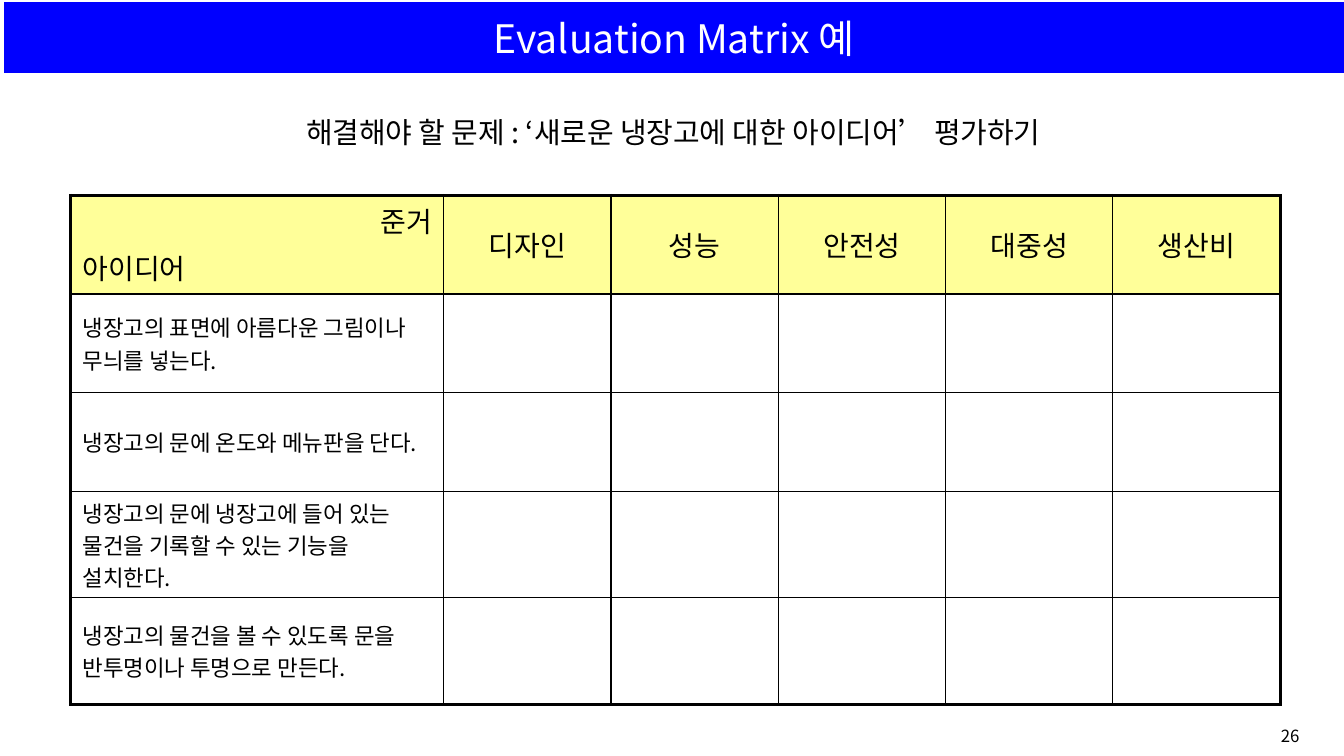
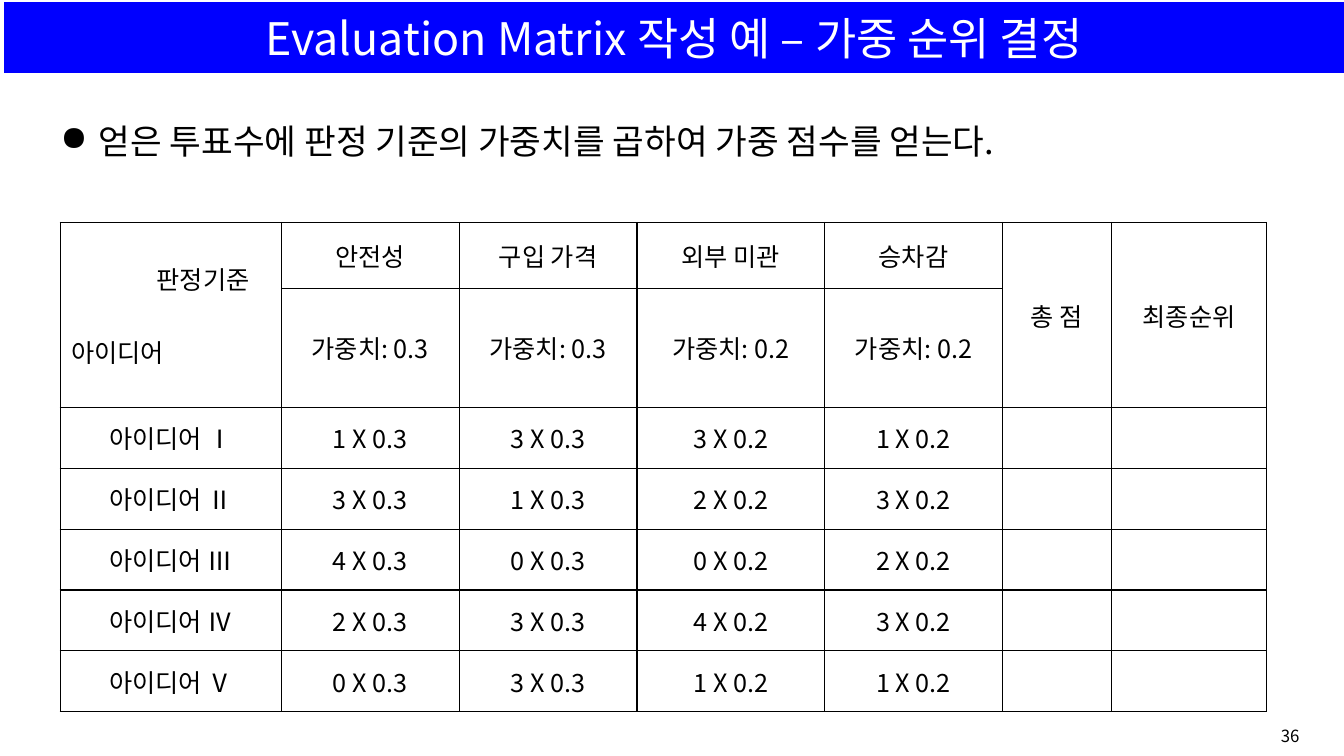
from lxml.etree import SubElement
from pptx import Presentation
from pptx.dml.color import RGBColor
from pptx.enum.text import MSO_ANCHOR as Anchor, MSO_AUTO_SIZE as AutoSize, PP_ALIGN as Align
from pptx.oxml.ns import qn
from pptx.util import Pt

FONT = "Noto Sans CJK KR"
BLACK, WHITE, BLUE, YELLOW = (RGBColor.from_string(c) for c in ("000000", "FFFFFF", "0000FF", "FFFF99"))


def write(paragraph, text, size, align=Align.CENTER, color=BLACK):
    paragraph.alignment = align
    run = paragraph.add_run()
    run.text = text
    for name, value in {"name": FONT, "size": Pt(size), "bold": False}.items():
        setattr(run.font, name, value)
    run.font.color.rgb = color
    SubElement(run.font._element, qn("a:ea"), typeface=FONT)


def add_grid(slide, left, top, widths, heights, inset, outer):
    """Add a plain table with black 1 pt rules and an outer frame of the given width."""
    table = slide.shapes.add_table(len(heights), len(widths), Pt(left), Pt(top),
                                   Pt(sum(widths)), Pt(sum(heights))).table
    table.first_row = table.horz_banding = False
    for column, width in zip(table.columns, widths):
        column.width = Pt(width)
    for row, height in zip(table.rows, heights):
        row.height = Pt(height)
    last_row, last_col = len(heights) - 1, len(widths) - 1
    for r in range(len(heights)):
        for c in range(len(widths)):
            cell = table.cell(r, c)
            cell.margin_left = cell.margin_right = Pt(inset)
            cell.vertical_anchor = Anchor.MIDDLE
            on_frame = {"lnL": c == 0, "lnR": c == last_col, "lnT": r == 0, "lnB": r == last_row}
            for side, framed in on_frame.items():
                rule = SubElement(cell._tc.get_or_add_tcPr(), qn(f"a:{side}"),
                                  w=str(Pt(outer if framed else 1)))
                SubElement(SubElement(rule, qn("a:solidFill")), qn("a:srgbClr"), val=str(BLACK))
            cell.fill.background()
    return table


prs = Presentation()
prs.slide_width, prs.slide_height = Pt(960), Pt(540)
title_only = prs.slide_layouts[5]

# Shared parts: title band, lead line and page number
headings = [
    ("Evaluation Matrix 예", 28, 26),
    ("Evaluation Matrix 작성 예 – 가중 순위 결정", 32, 36),
]
leads = [
    ("해결해야 할 문제 : ‘새로운 냉장고에 대한 아이디어’ 평가하기", 20.7, 49, 78, 864),
    ("얻은 투표수에 판정 기준의 가중치를 곱하여 가중 점수를 얻는다.", 24.6, 0, 82, 876),
]
lead_paragraphs = []
for (heading, heading_size, number), (lead, lead_size, left, top, width) in zip(headings, leads):
    slide = prs.slides.add_slide(title_only)
    band = slide.shapes.title
    band.left, band.top, band.width, band.height = Pt(1.5), Pt(0), Pt(960), Pt(54)
    band.fill.solid()
    band.fill.fore_color.rgb = BLUE
    band.line.color.rgb = WHITE
    band.line.width = Pt(3)
    band.text_frame.auto_size = AutoSize.NONE
    band.text_frame.vertical_anchor = Anchor.MIDDLE
    write(band.text_frame.paragraphs[0], heading, heading_size, color=WHITE)

    lead_frame = slide.shapes.add_textbox(Pt(left), Pt(top), Pt(width), Pt(42)).text_frame
    lead_frame.word_wrap = True
    write(lead_frame.paragraphs[0], lead, lead_size)
    lead_paragraphs.append(lead_frame.paragraphs[0])

    page = slide.shapes.add_textbox(Pt(905.5), Pt(515), Pt(32), Pt(22)).text_frame
    write(page.paragraphs[0], str(number), 12)

criteria_slide, weight_slide = prs.slides

# Slide 1: empty matrix of ideas against criteria
criteria = ["디자인", "성능", "안전성", "대중성", "생산비"]
ideas = [
    "냉장고의 표면에 아름다운 그림이나 무늬를 넣는다.",
    "냉장고의 문에 온도와 메뉴판을 단다.",
    "냉장고의 문에 냉장고에 들어 있는 물건을 기록할 수 있는 기능을 설치한다.",
    "냉장고의 물건을 볼 수 있도록 문을 반투명이나 투명으로 만든다.",
]
matrix = add_grid(criteria_slide, 50.5, 139.5, [266.5] + [119.5] * 5,
                  [70.5] * 3 + [76] * 2, inset=8.5, outer=2.25)
for cell in matrix.rows[0].cells:
    cell.fill.solid()
    cell.fill.fore_color.rgb = YELLOW
corner = matrix.cell(0, 0)
corner.vertical_anchor = Anchor.TOP
write(corner.text_frame.paragraphs[0], "준거", 20, Align.RIGHT)
idea_label = corner.text_frame.add_paragraph()
idea_label.space_before = Pt(4)
write(idea_label, "아이디어", 20, Align.LEFT)
for c, criterion in enumerate(criteria, 1):
    write(matrix.cell(0, c).text_frame.paragraphs[0], criterion, 20)
for r, idea in enumerate(ideas, 1):
    write(matrix.cell(r, 0).text_frame.paragraphs[0], idea, 16, Align.LEFT)

# Slide 2: votes multiplied by the weight of each criterion
bullet_lead = lead_paragraphs[1]
bullet_lead.alignment = Align.LEFT
lead_props = bullet_lead._p.get_or_add_pPr()
lead_props.set("marL", str(Pt(63.5)))
lead_props.set("indent", str(Pt(-27.5)))
SubElement(lead_props, qn("a:buChar"), char="●")

weights = {"안전성": "0.3", "구입 가격": "0.3", "외부 미관": "0.2", "승차감": "0.2"}
votes = {
    "Ⅰ": [1, 3, 3, 1],
    "Ⅱ": [3, 1, 2, 3],
    "Ⅲ": [4, 0, 0, 2],
    "Ⅳ": [2, 3, 4, 3],
    "Ⅴ": [0, 3, 1, 1],
}
scores = add_grid(weight_slide, 43, 159, [158, 127, 127, 134, 127, 78, 111],
                  [47, 85] + [43.5] * 5, inset=3, outer=1)
for c in (0, 5, 6):
    scores.cell(0, c).merge(scores.cell(1, c))

corner_frame = scores.cell(0, 0).text_frame
idea_label = corner_frame.add_paragraph()
idea_label.space_before = Pt(26)
for paragraph, label, indent in ((corner_frame.paragraphs[0], "판정기준", 66), (idea_label, "아이디어", 5)):
    paragraph._p.get_or_add_pPr().set("marL", str(Pt(indent)))
    write(paragraph, label, 18, Align.LEFT)

rows = [
    [None, *weights, "총 점", "최종순위"],
    [None, *(f"가중치: {weight}" for weight in weights.values())],
]
for numeral, counts in votes.items():
    products = [f"{count} X {weight}" for count, weight in zip(counts, weights.values())]
    rows.append([f"아이디어 {numeral}", *products])
for r, texts in enumerate(rows):
    for c, text in enumerate(texts):
        if text:
            write(scores.cell(r, c).text_frame.paragraphs[0], text, 18)

prs.save("out.pptx")
